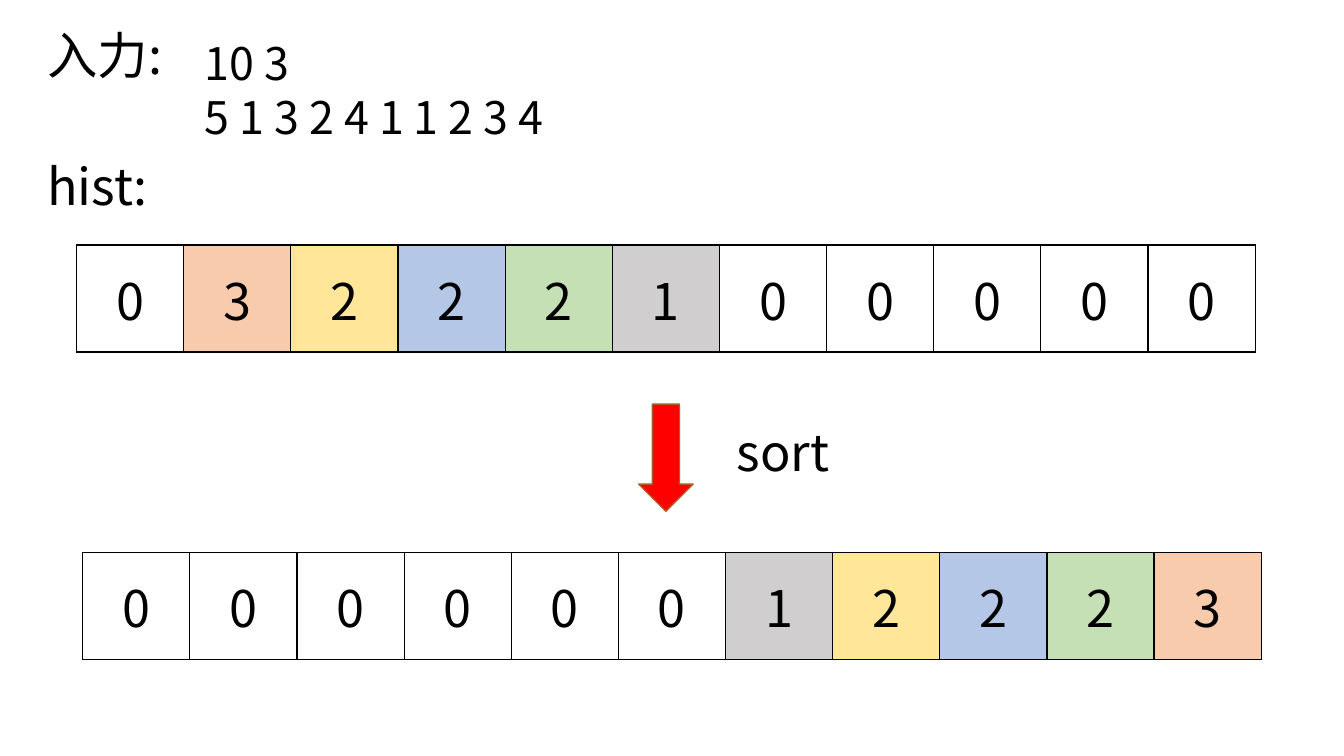
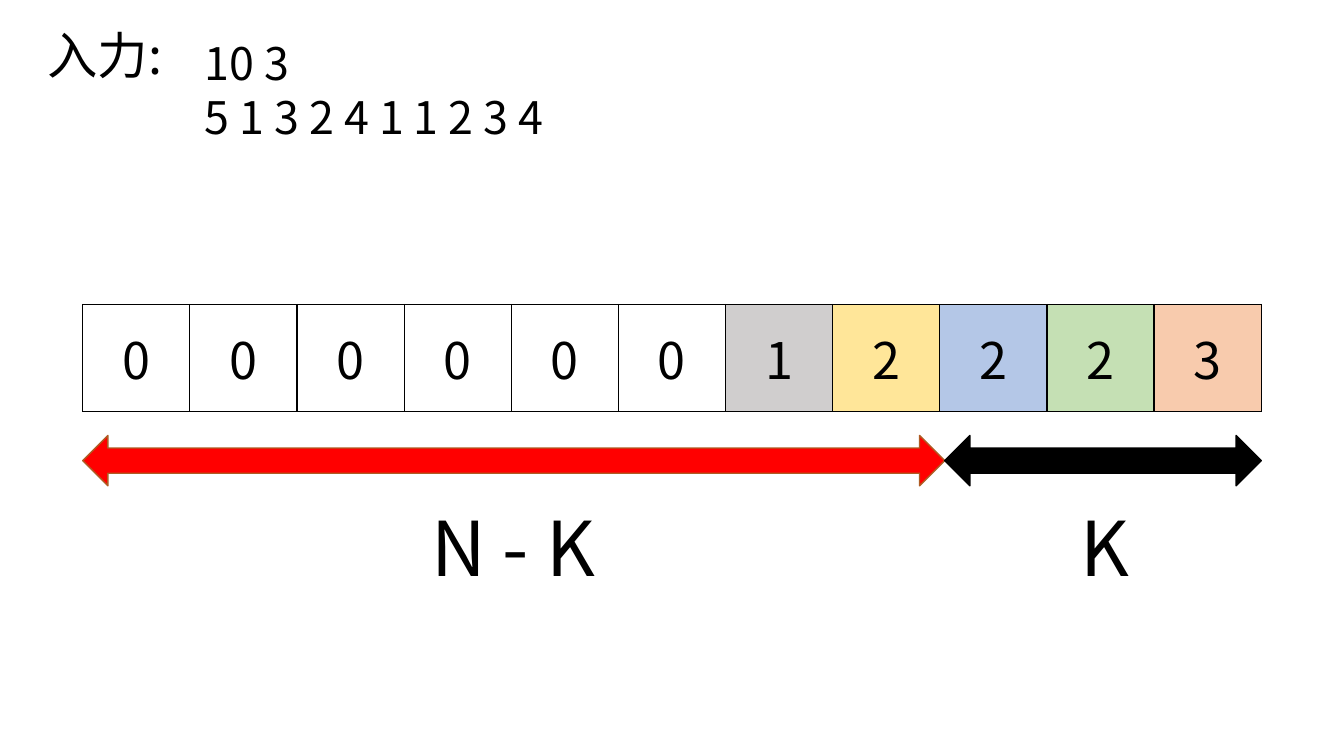
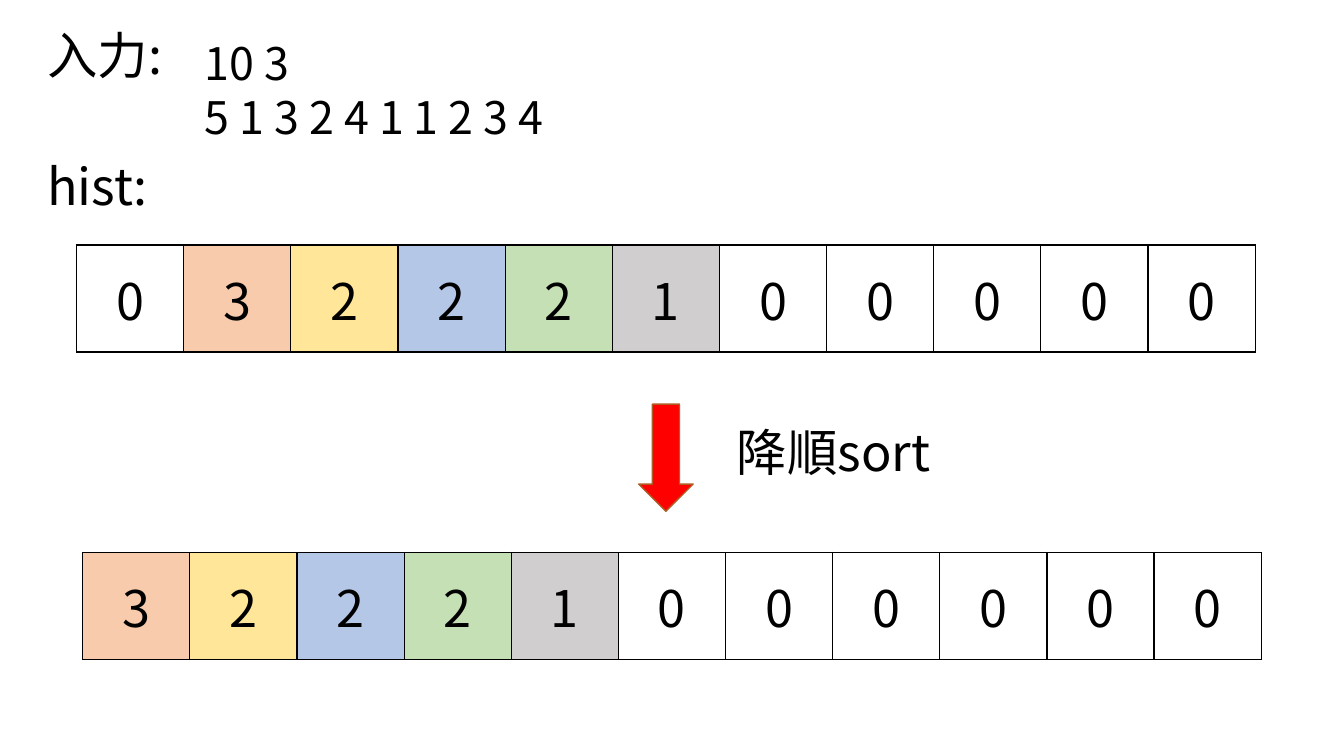
from lxml.etree import SubElement
from pptx import Presentation
from pptx.dml.color import RGBColor
from pptx.enum.shapes import MSO_SHAPE as Preset
from pptx.enum.text import MSO_ANCHOR as Anchor, MSO_AUTO_SIZE as AutoSize, PP_ALIGN as Align
from pptx.oxml.ns import qn
from pptx.util import Inches, Pt

FONT = "Noto Sans CJK JP"
BLACK, WHITE, RED, BROWN = "000000", "FFFFFF", "FF0000", "AF5C24"
ORANGE, YELLOW, BLUE, GREEN, GREY = "F8CBAD", "FFE699", "B4C7E7", "C5E0B4", "D0CECE"

HIST = list(zip([0, 3, 2, 2, 2, 1], [WHITE, ORANGE, YELLOW, BLUE, GREEN, GREY]))
HIST += [(0, WHITE)] * 5
ROW_WIDTH = 11.69
CELL = ROW_WIDTH / len(HIST)
HIST_LEFT, SORTED_LEFT, LABEL_LEFT = 0.76, 0.82, 0.37
ARROW_TOP, ARROW_WIDTH = 4.01, 0.54


def colour(hex_value):
    return RGBColor.from_string(hex_value)


def by_count(bin_):
    return bin_[0]


def style_text(para, size, align=Align.LEFT):
    para.alignment = align
    for name, value in {"name": FONT, "size": Pt(size)}.items():
        setattr(para.font, name, value)
    para.font.color.rgb = colour(BLACK)
    for run in para.runs:
        run.font.name = FONT
        SubElement(run.font._element, qn("a:ea"), typeface=FONT)
        for name, value in {"size": Pt(size)}.items():
            setattr(run.font, name, value)
        run.font.color.rgb = colour(BLACK)


def add_text(slide, text, left, top, width, height, size=36):
    box = slide.shapes.add_textbox(*map(Inches, (left, top, width, height)))
    frame = box.text_frame
    for name, value in {"word_wrap": True, "auto_size": AutoSize.SHAPE_TO_FIT_TEXT,
                        "text": text}.items():
        setattr(frame, name, value)
    for para in frame.paragraphs:
        style_text(para, size)


def add_arrow(slide, preset, left, top, width, height, fill=RED, line=BROWN):
    arrow = slide.shapes.add_shape(preset, *map(Inches, (left, top, width, height)))
    arrow.shadow.inherit = False
    arrow.fill.solid()
    arrow.fill.fore_color.rgb = colour(fill)
    arrow.line.color.rgb = colour(line)
    arrow.line.width = Pt(1)


def add_borders(cell):
    properties = cell._tc.get_or_add_tcPr()
    for side in ("lnL", "lnR", "lnT", "lnB"):
        line = SubElement(properties, qn(f"a:{side}"), w=str(Pt(1)))
        SubElement(SubElement(line, qn("a:solidFill")), qn("a:srgbClr"), val=BLACK)


def add_bins(slide, bins, left, top):
    """Draw (count, colour) pairs as one row of square cells."""
    frame = slide.shapes.add_table(
        1, len(bins), *map(Inches, (left, top, ROW_WIDTH, CELL)))
    table = frame.table
    for name in ("first_row", "horz_banding"):
        setattr(table, name, False)
    for cell, (count, fill) in zip(table.iter_cells(), bins):
        cell.text = str(count)
        cell.vertical_anchor = Anchor.MIDDLE
        style_text(cell.text_frame.paragraphs[0], 36, Align.CENTER)
        add_borders(cell)
        cell.fill.solid()
        cell.fill.fore_color.rgb = colour(fill)


def add_input_slide(deck):
    slide = deck.slides.add_slide(deck.slide_layouts[6])
    add_text(slide, "入力:", LABEL_LEFT, 0.19, 2.66, 0.71)
    add_text(slide, "10 3\n5 1 3 2 4 1 1 2 3 4", 1.93, 0.31, 6.67, 1.18, 32)
    return slide


def add_sort_slide(deck, label, label_width, descending):
    slide = add_input_slide(deck)
    add_text(slide, "hist:", LABEL_LEFT, 1.49, 2.66, 0.71)
    add_bins(slide, HIST, HIST_LEFT, 2.43)
    centre = HIST_LEFT + ROW_WIDTH / 2
    add_arrow(slide, Preset.DOWN_ARROW, centre - ARROW_WIDTH / 2, ARROW_TOP,
              ARROW_WIDTH, CELL)
    add_text(slide, label, 7.21, 4.13, label_width, 0.71)
    add_bins(slide, sorted(HIST, key=by_count, reverse=descending), SORTED_LEFT, 5.48)


def add_split_slide(deck):
    """Show which sorted bins fall in the N - K part and which in the K part."""
    slide = add_input_slide(deck)
    add_bins(slide, sorted(HIST, key=by_count), SORTED_LEFT, 3.02)
    removed_width = 8.55
    spans = [
        ("N - K", 4.18, 2.17, SORTED_LEFT, removed_width, RED, BROWN),
        ("K", 10.62, 0.98, SORTED_LEFT + removed_width, ROW_WIDTH - removed_width,
         BLACK, BLACK),
    ]
    for label, label_left, label_width, left, width, fill, line in spans:
        add_arrow(slide, Preset.LEFT_RIGHT_ARROW, left, 4.32, width, 0.5, fill, line)
        add_text(slide, label, label_left, 4.92, label_width, 1.01, 54)


def main():
    deck = Presentation()
    deck.slide_width, deck.slide_height = Inches(13.33), Inches(7.5)
    add_sort_slide(deck, "sort", 1.66, descending=False)
    add_split_slide(deck)
    add_sort_slide(deck, "降順sort", 2.29, descending=True)
    deck.save("out.pptx")


if __name__ == "__main__":
    main()
